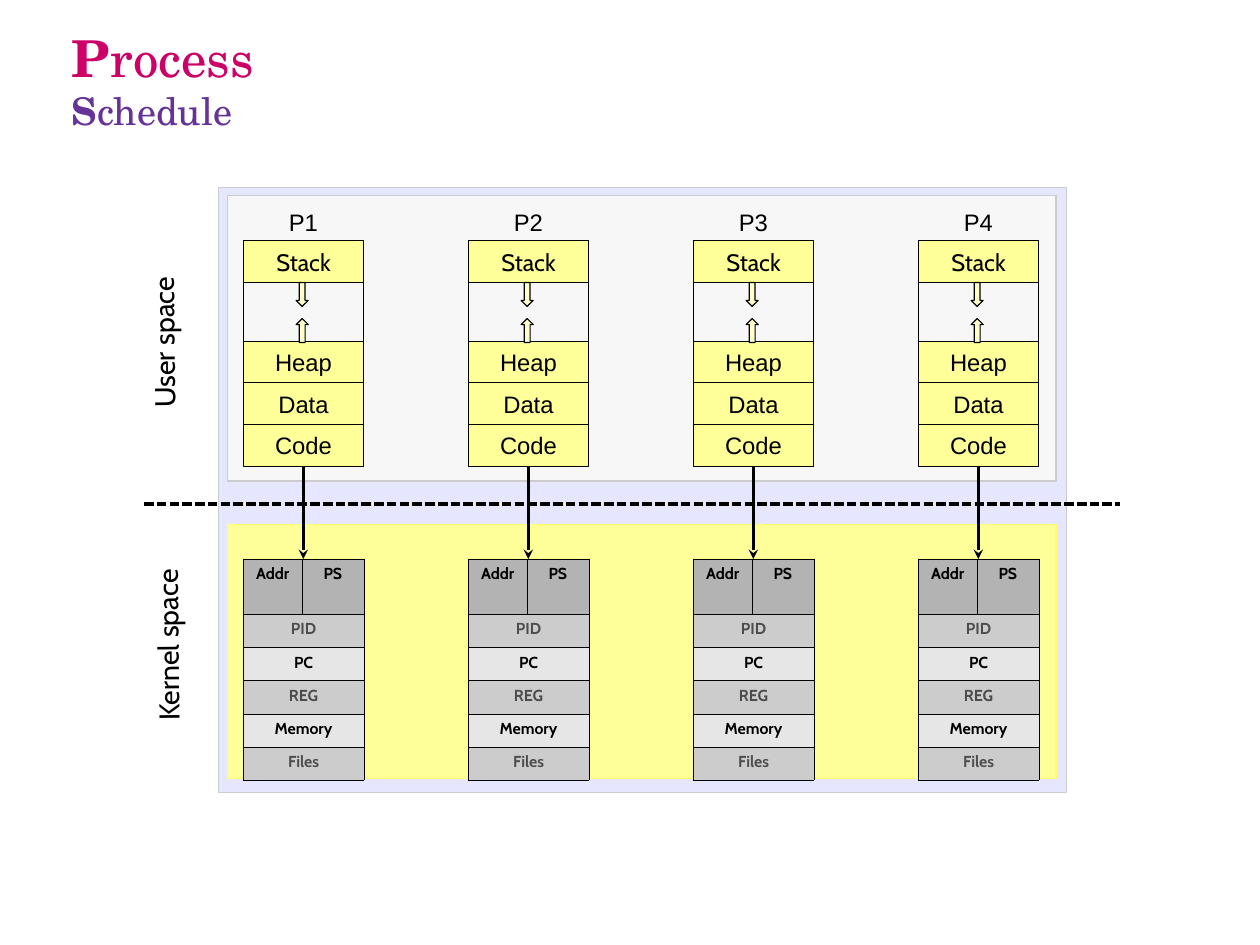
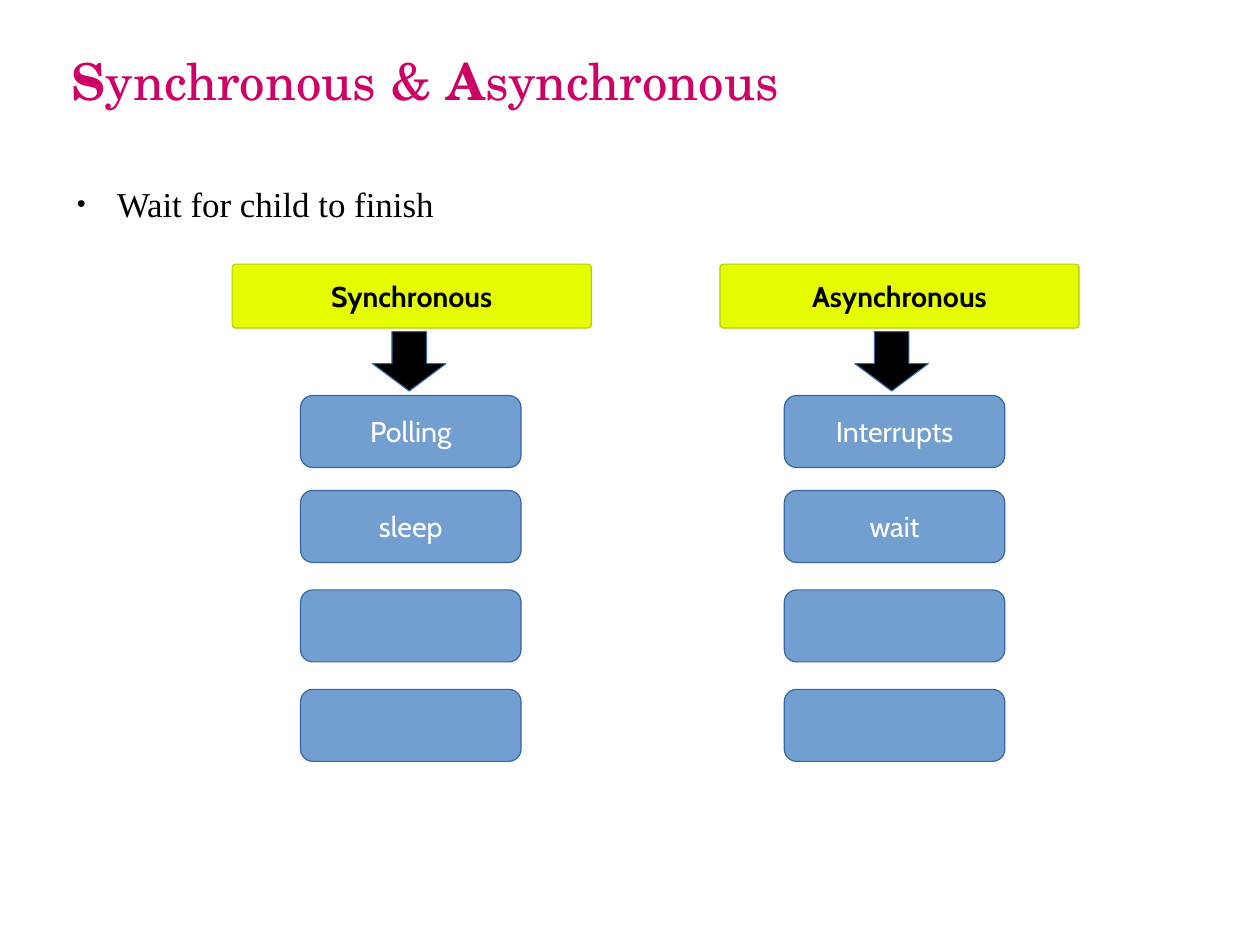
from lxml import etree
from pptx import Presentation
from pptx.dml.color import RGBColor
from pptx.enum.dml import MSO_LINE
from pptx.enum.shapes import MSO_CONNECTOR, MSO_SHAPE
from pptx.enum.text import MSO_ANCHOR, MSO_AUTO_SIZE, PP_ALIGN
from pptx.oxml.ns import qn
from pptx.util import Cm, Pt

MAGENTA = RGBColor(0xCC, 0x00, 0x66)
PURPLE = RGBColor(0x66, 0x33, 0x99)
BLACK = RGBColor(0x00, 0x00, 0x00)
WHITE = RGBColor(0xFF, 0xFF, 0xFF)
LAVENDER = RGBColor(0xE6, 0xE6, 0xFF)
PALE_GREY = RGBColor(0xF7, 0xF7, 0xF7)
LIGHT_GREY = RGBColor(0xE6, 0xE6, 0xE6)
SILVER = RGBColor(0xCC, 0xCC, 0xCC)
MID_GREY = RGBColor(0xB3, 0xB3, 0xB3)
DARK_GREY = RGBColor(0x4C, 0x4C, 0x4C)
YELLOW = RGBColor(0xFF, 0xFF, 0x99)
YELLOW_EDGE = RGBColor(0xFF, 0xFF, 0x66)
CREAM = RGBColor(0xFF, 0xFF, 0xCC)
LIME = RGBColor(0xE6, 0xFF, 0x00)
LIME_EDGE = RGBColor(0xAE, 0xCF, 0x00)
BLUE = RGBColor(0x72, 0x9F, 0xCF)
BLUE_EDGE = RGBColor(0x34, 0x65, 0xA4)

TITLE_FONT, BODY_FONT = "TeX Gyre Schola", "Times New Roman"
LABEL_FONT, PLAIN_FONT = "Cabin", "Arial"

# Content of "Process Schedule"; boxes are left, top, width, height in cm
SCHEDULE_TITLE = [("Process", 32, MAGENTA), ("Schedule", 24, PURPLE)]
SPACES = [
    ((4.85, 4.17, 18.85, 13.44), LAVENDER, SILVER),
    ((5.05, 4.34, 18.42, 6.35), PALE_GREY, SILVER),
    ((5.05, 11.66, 18.42, 5.64), YELLOW, YELLOW_EDGE),
]
SPACE_LABELS = [
    ("User space", (1.3, 6.38, 4.75, 1.12)),
    ("Kernel space", (1.88, 13.21, 4.39, 1.73)),
]
PROCESSES = ["P1", "P2", "P3", "P4"]
SEGMENTS = [("Stack", 5.35, LABEL_FONT), ("Heap", 7.59, PLAIN_FONT),
            ("Data", 8.51, PLAIN_FONT), ("Code", 9.43, PLAIN_FONT)]
BLOCK_HEADS = ["Addr", "PS"]
BLOCK_FIELDS = ["PID", "PC", "REG", "Memory", "Files"]

# Content of "Synchronous & Asynchronous"
SYNC_TITLE = [("Synchronous & Asynchronous", 32, MAGENTA)]
SYNC_POINT = "Wait for child to finish"
MODES = [
    ("Synchronous", 5.16, 8.28, 6.68, ["Polling", "sleep", "", ""]),
    ("Asynchronous", 16.0, 19.0, 17.43, ["Interrupts", "wait", "", ""]),
]
METHOD_TOPS = [8.79, 10.9, 13.11, 15.32]


def cm(*lengths):
    return [Cm(v) for v in lengths]


def format_text(p, text, font, size, color=BLACK, bold=False, align=None):
    p.text = text
    p.alignment = align
    f = p.font
    f.name, f.size, f.bold = font, Pt(size), bold
    f.color.rgb = color


def add_box(s, box, fill, edge, kind=MSO_SHAPE.RECTANGLE, adj=()):
    sp = s.shapes.add_shape(kind, *cm(*box))
    sp.shadow.inherit = False
    if fill is None:
        sp.fill.background()
    else:
        sp.fill.solid()
        sp.fill.fore_color.rgb = fill
    sp.line.color.rgb = edge
    sp.line.width = Pt(0)
    for i, value in enumerate(adj):
        sp.adjustments[i] = value
    return sp


def label_box(sp, *text_format):
    tf = sp.text_frame
    tf.word_wrap = False
    tf.vertical_anchor = MSO_ANCHOR.MIDDLE
    format_text(tf.paragraphs[0], *text_format, align=PP_ALIGN.CENTER)


def add_label(s, box, text, font, size, wrap=True):
    sp = s.shapes.add_textbox(*cm(*box))
    sp.text_frame.word_wrap = wrap
    format_text(sp.text_frame.paragraphs[0], text, font, size)
    return sp


def add_line(s, x1, y1, x2, y2, dash=None, arrow=False):
    line = s.shapes.add_connector(MSO_CONNECTOR.STRAIGHT, *cm(x1, y1, x2, y2))
    line.line.color.rgb = BLACK
    line.line.width = Pt(0)
    if dash:
        line.line.dash_style = dash
    if arrow:
        etree.SubElement(line.line._get_or_add_ln(), qn("a:tailEnd"), type="stealth")
    etree.SubElement(line._element.spPr, qn("a:effectLst"))


def clear_margins(tf):
    tf.margin_left = tf.margin_right = tf.margin_top = tf.margin_bottom = 0
    tf.auto_size = MSO_AUTO_SIZE.NONE


def place(sp, box):
    sp.left, sp.top, sp.width, sp.height = cm(*box)


def add_slide(prs, layout, title_lines):
    """Slide whose title starts every word with a bold letter."""
    s = prs.slides.add_slide(prs.slide_layouts[layout])
    place(s.shapes.title, (1.6, 0.03, 25.02, 3.5))
    tf = s.shapes.title.text_frame
    clear_margins(tf)
    tf.vertical_anchor = MSO_ANCHOR.MIDDLE
    p = tf.paragraphs[0]
    p.alignment = PP_ALIGN.LEFT
    p.font.name = TITLE_FONT
    for i, (text, size, color) in enumerate(title_lines):
        if i:
            p.add_line_break()
        for j, word in enumerate(text.split()):
            lead = " " if j else ""
            for part, bold in ((lead + word[0], word[0].isalpha()), (word[1:], False)):
                if part:
                    r = p.add_run()
                    r.text = part
                    r.font.size, r.font.bold = Pt(size), bold
                    r.font.color.rgb = color
    return s


def format_cell(cell, text, fill, color):
    tcPr = cell._tc.get_or_add_tcPr()
    for side in ("lnL", "lnR", "lnT", "lnB"):
        ln = etree.SubElement(tcPr, qn("a:" + side), w="762")
        solid = etree.SubElement(ln, qn("a:solidFill"))
        etree.SubElement(solid, qn("a:srgbClr"), val=str(BLACK))
    cell.fill.solid()
    cell.fill.fore_color.rgb = fill
    format_text(cell.text_frame.paragraphs[0], text, LABEL_FONT, 10, color,
                True, PP_ALIGN.CENTER)


def add_control_block(s, x):
    rows = len(BLOCK_FIELDS) + 1
    table = s.shapes.add_table(rows, 2, *cm(x, 12.42, 2.67, 4.92)).table
    table.first_row = table.horz_banding = False
    for col, width in zip(table.columns, (1.3, 1.37)):
        col.width = Cm(width)
    for i, row in enumerate(table.rows):
        row.height = Cm(0.74 if i else 1.22)
    for i, text in enumerate(BLOCK_HEADS):
        format_cell(table.cell(0, i), text, MID_GREY, BLACK)
    for i, text in enumerate(BLOCK_FIELDS, 1):
        fill, color = (SILVER, DARK_GREY) if i % 2 else (LIGHT_GREY, BLACK)
        table.cell(i, 0).merge(table.cell(i, 1))
        format_cell(table.cell(i, 0), text, fill, color)
        format_cell(table.cell(i, 1), "", fill, color)


def add_process(s, name, x):
    add_control_block(s, x)
    add_label(s, (x + 0.76, 4.5, 1.17, 0.97), name, PLAIN_FONT, 15, wrap=False)
    add_box(s, (x, 6.28, 2.67, 1.31), None, BLACK)
    for text, top, font in SEGMENTS:
        label_box(add_box(s, (x, top, 2.67, 0.93), YELLOW, BLACK), text, font, 15)
    for top, turn in ((6.28, 0), (7.08, 180)):
        sp = add_box(s, (x + 1.17, top, 0.27, 0.53), CREAM, BLACK,
                     MSO_SHAPE.DOWN_ARROW, (0.48, 0.49))
        sp.rotation = turn
    add_line(s, x + 1.33, 10.36, x + 1.33, 12.42, arrow=True)


prs = Presentation()
prs.slide_width, prs.slide_height = Cm(28), Cm(21)

# Process schedule
s = add_slide(prs, 5, SCHEDULE_TITLE)
for box, fill, edge in SPACES:
    add_box(s, box, fill, edge)
for text, box in SPACE_LABELS:
    add_label(s, box, text, LABEL_FONT, 18).rotation = 269.4
add_line(s, 3.2, 11.2, 24.89, 11.2, dash=MSO_LINE.SQUARE_DOT)
for i, name in enumerate(PROCESSES):
    add_process(s, name, 5.41 + 5 * i)

# Synchronous and asynchronous waiting
s = add_slide(prs, 1, SYNC_TITLE)
body = s.placeholders[1]
place(body, (1.4, 4.06, 25.2, 14.22))
clear_margins(body.text_frame)
p = body.text_frame.paragraphs[0]
format_text(p, SYNC_POINT, BODY_FONT, 22)
p.space_before, p.space_after = Pt(0), Pt(14.2)
pPr = p._p.get_or_add_pPr()
pPr.set("marL", str(Cm(1.2)))
pPr.set("indent", str(Cm(-0.9)))
bullet = [etree.Element(qn("a:buSzPct"), val="45000"),
          etree.Element(qn("a:buChar"), char="●")]
for i, part in enumerate(bullet, pPr.index(pPr.find(qn("a:defRPr")))):
    pPr.insert(i, part)

for mode, head_x, arrow_x, method_x, methods in MODES:
    sp = add_box(s, (head_x, 5.87, 7.98, 1.42), LIME, LIME_EDGE,
                 MSO_SHAPE.ROUNDED_RECTANGLE, (0.05,))
    label_box(sp, mode, LABEL_FONT, 18, BLACK, True)
    add_box(s, (arrow_x, 7.37, 1.63, 1.32), BLACK, BLUE_EDGE,
            MSO_SHAPE.DOWN_ARROW, (0.47, 0.46))
    for method, top in zip(methods, METHOD_TOPS):
        sp = add_box(s, (method_x, top, 4.9, 1.6), BLUE, BLUE_EDGE,
                     MSO_SHAPE.ROUNDED_RECTANGLE, (0.17,))
        if method:
            label_box(sp, method, LABEL_FONT, 18, WHITE)

prs.save("out.pptx")
